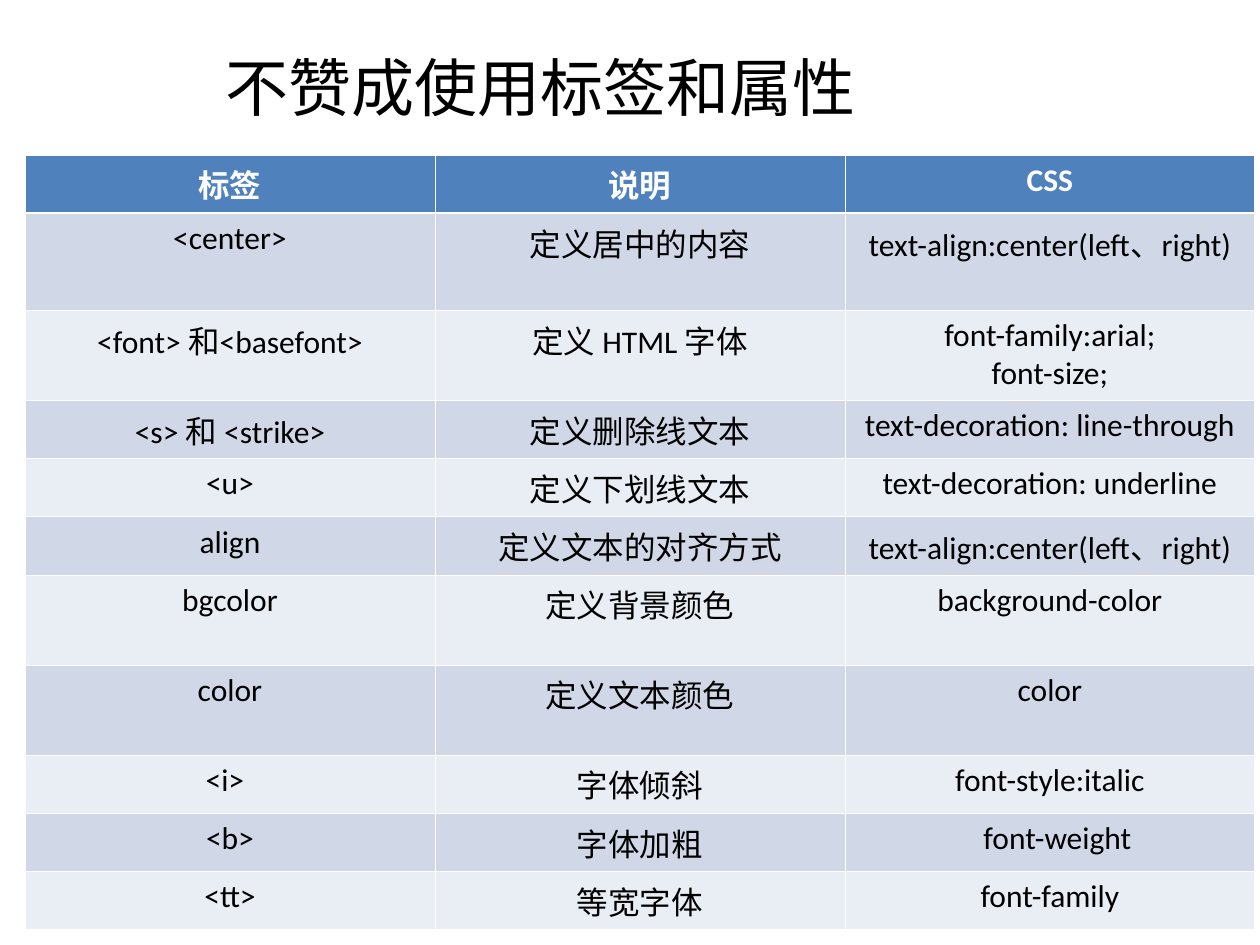
from lxml import etree
from pptx import Presentation
from pptx import util as u
from pptx.dml.color import RGBColor
from pptx.enum import text
from pptx.oxml import ns

PX = 914400 // 126  # EMU in one px

BLACK = RGBColor(0x00, 0x00, 0x00)
WHITE = RGBColor(0xFF, 0xFF, 0xFF)
HEADER_BLUE = RGBColor(0x4F, 0x81, 0xBD)
BANDS = (RGBColor(0xD0, 0xD8, 0xE8), RGBColor(0xE9, 0xED, 0xF4))

LOW, TALL = 50, 90
HEADINGS = ("标签", "说明", "CSS")
# Row height, then the tag or attribute, its meaning and its CSS
REPLACEMENTS = [
    (97, "<center>", "定义居中的内容", "text-align:center(left、right)"),
    (TALL, "<font> 和<basefont>", "定义 HTML 字体", "font-family:arial;\nfont-size;"),
    (LOW, "<s> 和 <strike>", "定义删除线文本", "text-decoration: line-through"),
    (LOW, "<u>", "定义下划线文本", "text-decoration: underline"),
    (LOW, "align", "定义文本的对齐方式", "text-align:center(left、right)"),
    (TALL, "bgcolor", "定义背景颜色", "background-color"),
    (TALL, "color", "定义文本颜色", "color"),
    (LOW, "<i>", "字体倾斜", "font-style:italic"),
    (LOW, "<b>", "字体加粗", "font-weight"),
    (LOW, "<tt>", "等宽字体", "font-family"),
]
# Cells set from the left with an indent in px instead of centred
INDENTS = {"<i>": 168, "font-weight": 126}


class Deck:
    latin, cjk = "Calibri", "Noto Sans CJK SC"
    thin, thick = 0.45, 1.47

    def __init__(self, width, height):
        self.file = Presentation()
        self.file.slide_width, self.file.slide_height = width * PX, height * PX
        self.slide = self.file.slides.add_slide(self.file.slide_layouts[5])

    def style(self, paragraph, size, color, bold=False, latin=None):
        for run in paragraph.runs:
            font = run.font
            font.size, font.bold, font.name = u.Pt(size), bold, latin or self.latin
            font.color.rgb = color
            east_asian = etree.SubElement(run._r.get_or_add_rPr(), ns.qn("a:ea"))
            east_asian.set("typeface", self.cjk)

    def title(self, words, left, top, width, height):
        heading = self.slide.shapes.title
        heading.left, heading.top = left * PX, top * PX
        heading.width, heading.height = width * PX, height * PX
        frame = heading.text_frame
        frame.text = words
        frame.auto_size = text.MSO_AUTO_SIZE.NONE
        frame.vertical_anchor = text.MSO_ANCHOR.MIDDLE
        frame.paragraphs[0].alignment = text.PP_ALIGN.LEFT
        self.style(frame.paragraphs[0], 36, BLACK, latin=self.cjk)

    def border(self, cell, side, points):
        line = etree.SubElement(cell._tc.get_or_add_tcPr(), ns.qn("a:ln" + side))
        line.set("w", str(u.Pt(points)))
        fill = etree.SubElement(line, ns.qn("a:solidFill"))
        etree.SubElement(fill, ns.qn("a:srgbClr")).set("val", str(WHITE))

    def cell(self, cell, words, fill, color, bold, top, bottom):
        for side, points in zip("LRTB", (self.thin, self.thin, top, bottom)):
            self.border(cell, side, points)
        cell.fill.solid()
        cell.fill.fore_color.rgb = fill
        cell.text_frame.text = words
        for paragraph in cell.text_frame.paragraphs:
            if words in INDENTS:
                paragraph.alignment = text.PP_ALIGN.LEFT
                paragraph._p.get_or_add_pPr().set("marL", str(INDENTS[words] * PX))
            else:
                paragraph.alignment = text.PP_ALIGN.CENTER
            self.style(paragraph, 18, color, bold)

    def table(self, headings, rows, left, top, column_width):
        heights = [LOW] + [row[0] for row in rows]
        grid = self.slide.shapes.add_table(
            len(heights), len(headings), left * PX, top * PX,
            column_width * len(headings) * PX, sum(heights) * PX).table
        grid.horz_banding = False
        for column in grid.columns:
            column.width = column_width * PX
        for row, height in zip(grid.rows, heights):
            row.height = height * PX
        # Header row, set off by a thicker rule
        for c, words in enumerate(headings):
            self.cell(grid.cell(0, c), words, HEADER_BLUE, WHITE, True,
                      self.thin, self.thick)
        # Body rows in alternating bands
        for r, (_, *cells) in enumerate(rows):
            for c, words in enumerate(cells):
                self.cell(grid.cell(r + 1, c), words, BANDS[r % 2], BLACK, False,
                          self.thin if r else self.thick, self.thin)


def main():
    deck = Deck(1260, 945)
    deck.title("不赞成使用标签和属性", 213, 38, 964, 97)
    deck.table(HEADINGS, REPLACEMENTS, 25, 155, 410)
    deck.file.save("out.pptx")


if __name__ == "__main__":
    main()
